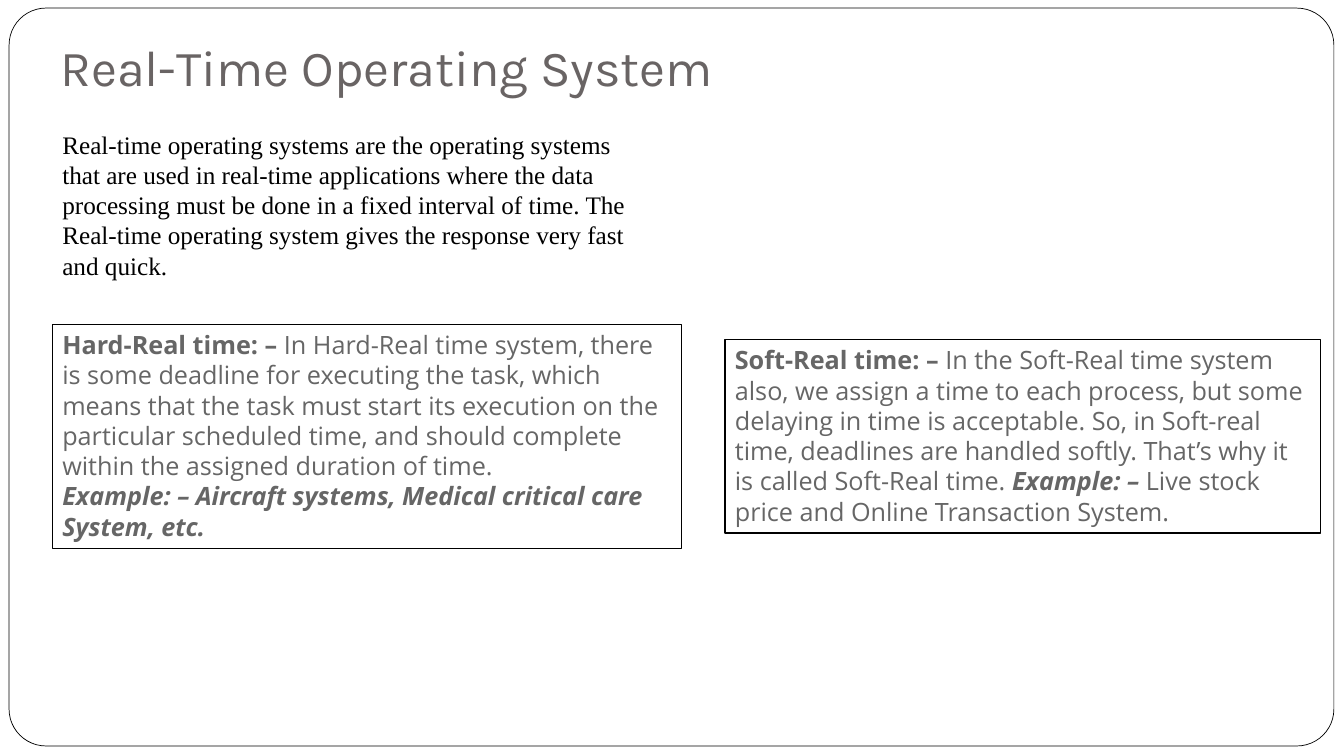
from pptx import Presentation
from pptx.dml.color import RGBColor
from pptx.enum.shapes import MSO_SHAPE as Preset
from pptx.enum.text import MSO_ANCHOR as Anchor, MSO_AUTO_SIZE as AutoSize, PP_ALIGN as Align
from pptx.util import Inches, Pt

WIDTH, HEIGHT = Inches(13.33), Inches(7.5)
WHITE = RGBColor(0xFF, 0xFF, 0xFF)
BLACK = RGBColor(0x00, 0x00, 0x00)
TITLE_GREY = RGBColor(0x69, 0x64, 0x64)
BODY_GREY = RGBColor(0x66, 0x66, 0x66)

# Run styles: (bold, italic)
PLAIN, BOLD, BOLD_ITALIC = (False, False), (True, False), (True, True)

INTRO = ("Real-time operating systems are the operating systems that are used in "
         "real-time applications where the data processing must be done in a fixed "
         "interval of time. The Real-time operating system gives the response very "
         "fast and quick.")

HARD = [
    [("Hard-Real time: – ", BOLD),
     ("In Hard-Real time system, there is some deadline for executing the task, "
      "which means that the task must start its execution on the particular "
      "scheduled time, and should complete within the assigned duration of time.", PLAIN)],
    [("Example: – Aircraft systems, Medical critical care System, etc.", BOLD_ITALIC)],
]

SOFT = [
    [("Soft-Real time: –", BOLD),
     (" In the Soft-Real time system also, we assign a time to each process, but "
      "some delaying in time is acceptable. So, in Soft-real time, deadlines are "
      "handled softly. That’s why it is called Soft-Real time. ", PLAIN),
     ("Example: – ", BOLD_ITALIC),
     ("Live stock price and Online Transaction System.", PLAIN)],
]


def place(left, top, width, height):
    """Turn percentages of the slide into lengths."""
    return [round(share * side / 100) for share, side in
            ((left, WIDTH), (top, HEIGHT), (width, WIDTH), (height, HEIGHT))]


def outlined(slide, preset, area, line_width):
    panel = slide.shapes.add_shape(preset, *place(*area))
    panel.shadow.inherit = False
    panel.fill.solid()
    panel.fill.fore_color.rgb = WHITE
    panel.line.color.rgb = BLACK
    panel.line.width = Pt(line_width)
    return panel


def write(frame, paragraphs, font, size, color, wrap=True):
    frame.word_wrap = wrap
    frame.auto_size = AutoSize.SHAPE_TO_FIT_TEXT
    frame.vertical_anchor = Anchor.TOP
    for index, pieces in enumerate(paragraphs):
        paragraph = frame.add_paragraph() if index else frame.paragraphs[0]
        paragraph.alignment = Align.LEFT
        paragraph.font.name = font
        paragraph.font.size = Pt(size)
        paragraph.font.color.rgb = color
        for words, (bold, italic) in pieces:
            run = paragraph.add_run()
            run.text = words
            run.font.bold, run.font.italic = bold, italic


def text_box(slide, area, words, font, size, color, wrap=True):
    box = slide.shapes.add_textbox(*place(*area))
    write(box.text_frame, [[(words, PLAIN)]], font, size, color, wrap)


def definition(slide, area, paragraphs):
    panel = outlined(slide, Preset.RECTANGLE, area, 1)
    write(panel.text_frame, paragraphs, "Open Sans", 18, BODY_GREY)


def main():
    deck = Presentation()
    deck.slide_width, deck.slide_height = WIDTH, HEIGHT
    slide = deck.slides.add_slide(deck.slide_layouts[6])

    # Rounded frame around the slide
    border = outlined(slide, Preset.ROUNDED_RECTANGLE, (0.68, 1.07, 98.57, 97.6), 0.5)
    border.adjustments[0] = 0.05

    # Title and introduction
    text_box(slide, (3.75, 4.13, 50.2, 9.47), "Real-Time Operating System",
             "Karla", 36, TITLE_GREY, wrap=False)
    text_box(slide, (3.9, 16.4, 44.1, 21.6), INTRO, "Times New Roman", 18, BLACK)

    # The two kinds of real-time system
    definition(slide, (3.9, 42.93, 46.8, 29.6), HARD)
    definition(slide, (53.94, 44.93, 44.33, 25.6), SOFT)

    deck.save("out.pptx")


if __name__ == "__main__":
    main()
